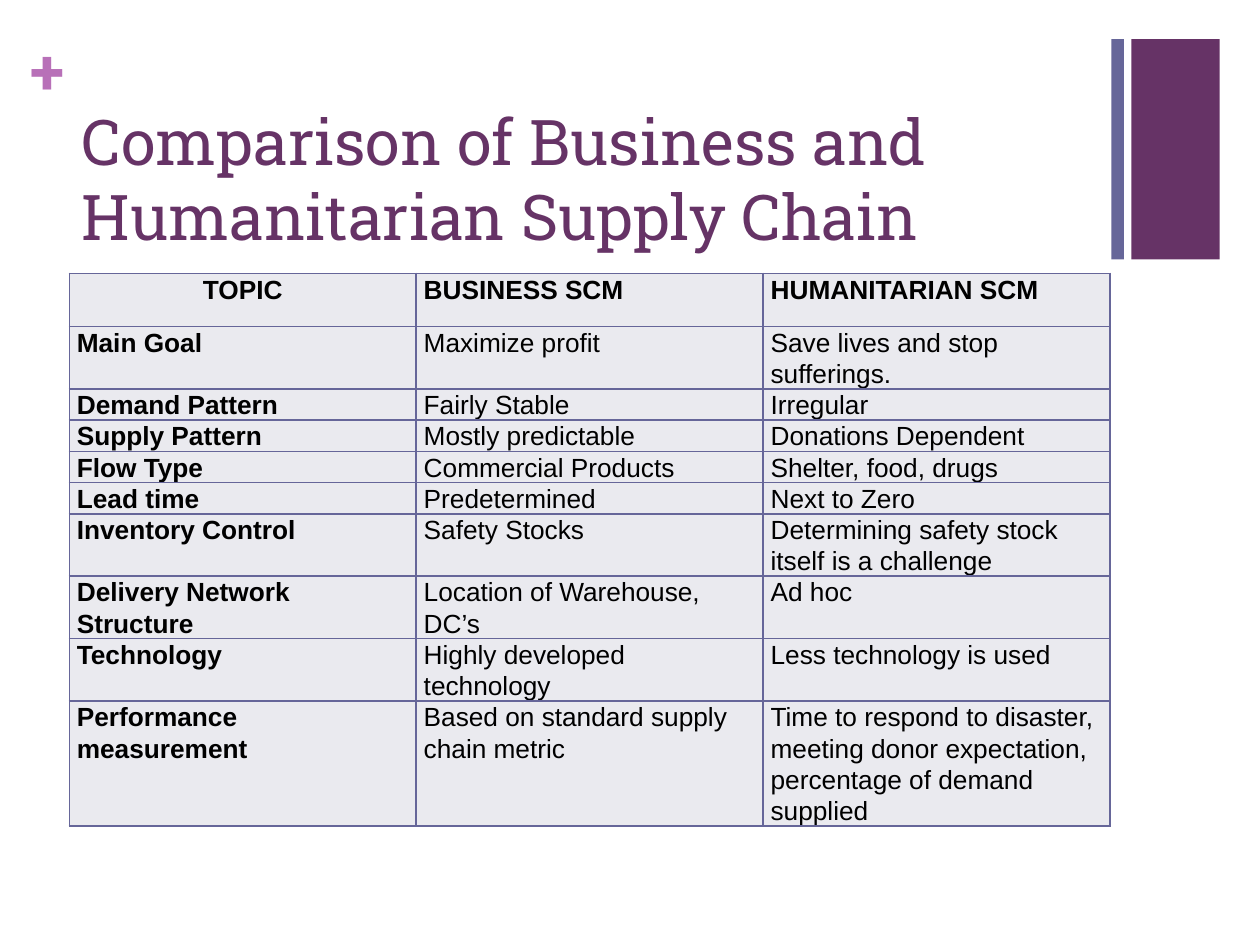
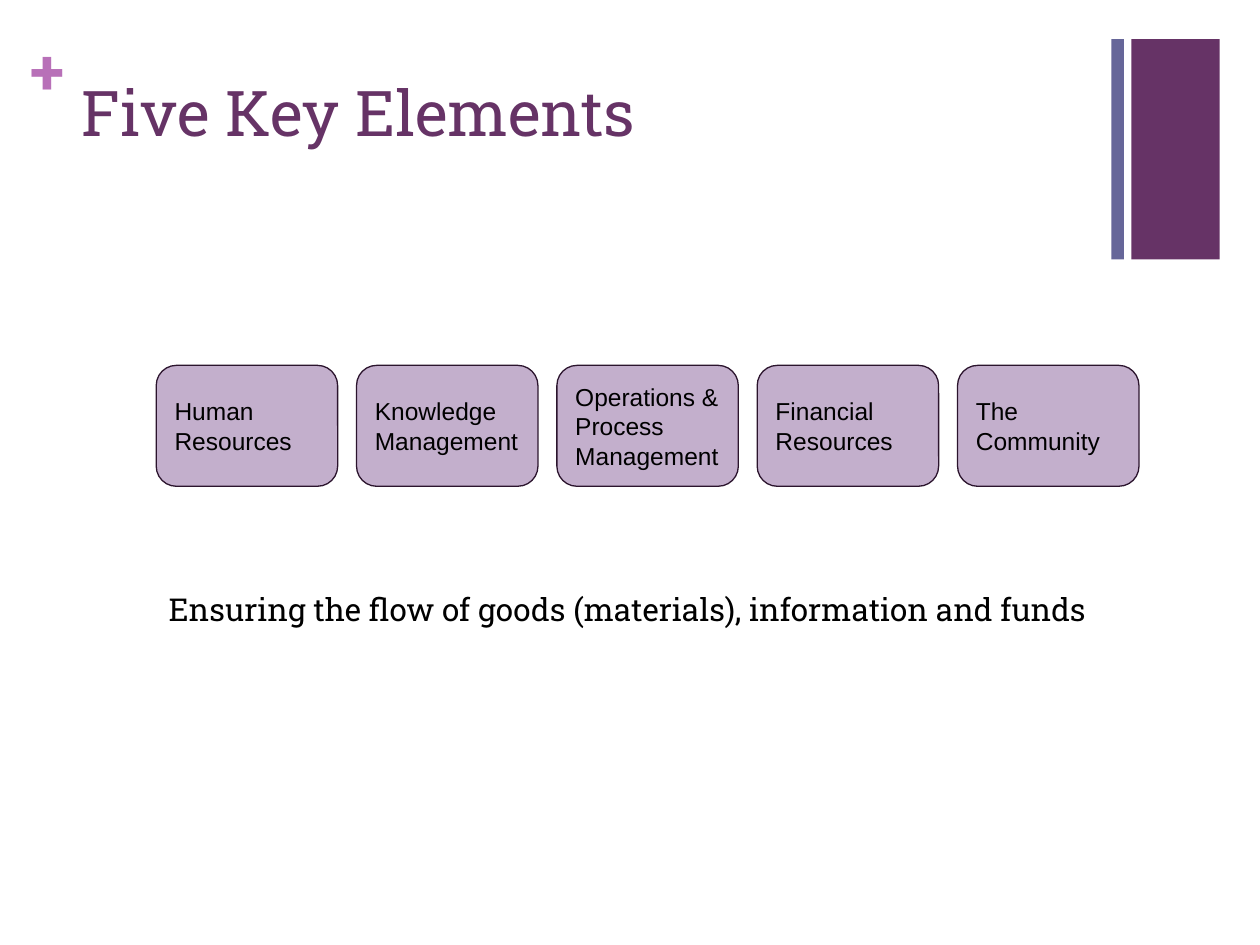
"""Build two slides on humanitarian supply chains."""
from dataclasses import dataclass

from lxml import etree
from pptx import Presentation
from pptx.dml.color import RGBColor
from pptx.enum import shapes, text
from pptx.oxml import ns
from pptx.util import Inches, Pt

PLUM = RGBColor(0x66, 0x33, 0x66)
SLATE = RGBColor(0x66, 0x66, 0x99)
ORCHID = RGBColor(0xB8, 0x70, 0xB8)
LILAC = RGBColor(0xC3, 0xAF, 0xCC)
OUTLINE = RGBColor(0x2B, 0x14, 0x2D)
CELL_GREY = RGBColor(0xEA, 0xEA, 0xEF)
BLACK = RGBColor(0, 0, 0)
SERIF = "Roboto Slab"
SANS = "Arial"
TITLE_ONLY = 5


@dataclass(frozen=True)
class Area:
    """A rectangle on the slide, in inches."""
    left: float
    top: float
    width: float
    height: float

    def lengths(self):
        """Return the four measures as lengths."""
        return tuple(map(Inches, (self.left, self.top, self.width, self.height)))


@dataclass(frozen=True)
class TextStyle:
    """The look of a paragraph."""
    font: str
    size: float
    color: RGBColor
    bold: bool = False
    align: text.PP_ALIGN = text.PP_ALIGN.LEFT


@dataclass(frozen=True)
class Band:
    """A plain coloured bar in the corner."""
    area: Area
    color: RGBColor


BANDS = (
    Band(Area(8.98, 0.31, 0.7, 1.75), PLUM),
    Band(Area(8.82, 0.31, 0.1, 1.75), SLATE),
)
TITLE = TextStyle(SERIF, 36, PLUM)
PLUS = TextStyle(SERIF, 36, ORCHID, bold=True)
CAPTION = TextStyle(SERIF, 18, BLACK)
ELEMENT = TextStyle(SANS, 14, BLACK)
CELL = TextStyle(SANS, 15, BLACK)
CELL_BOLD = TextStyle(SANS, 15, BLACK, bold=True)
CELL_CENTRED = TextStyle(SANS, 15, BLACK, bold=True, align=text.PP_ALIGN.CENTER)

COMPARISON = (
    ("TOPIC", "BUSINESS SCM", "HUMANITARIAN SCM"),
    ("Main Goal", "Maximize profit", "Save lives and stop sufferings."),
    ("Demand Pattern", "Fairly Stable", "Irregular"),
    ("Supply Pattern", "Mostly predictable", "Donations Dependent"),
    ("Flow Type", "Commercial Products", "Shelter, food, drugs"),
    ("Lead time", "Predetermined", "Next to Zero"),
    ("Inventory Control", "Safety Stocks",
     "Determining safety stock itself is a challenge"),
    ("Delivery Network Structure", "Location of Warehouse, DC’s", "Ad hoc"),
    ("Technology", "Highly developed technology", "Less technology is used"),
    ("Performance measurement", "Based on standard supply chain metric",
     "Time to respond to disaster, meeting donor expectation, "
     "percentage of demand supplied"),
)
KEY_ELEMENTS = (
    "Human Resources",
    "Knowledge Management",
    "Operations & Process Management",
    "Financial Resources",
    "The Community",
)


def write(frame, words: str, style: TextStyle, inset_x: float, inset_y: float,
          anchor=text.MSO_ANCHOR.TOP) -> None:
    """Fill a text frame with one styled paragraph."""
    frame.word_wrap = True
    frame.auto_size = text.MSO_AUTO_SIZE.NONE
    frame.vertical_anchor = anchor
    frame.margin_left = frame.margin_right = Inches(inset_x)
    frame.margin_top = frame.margin_bottom = Inches(inset_y)
    frame.text = words
    style_paragraph(frame.paragraphs[0], style)


def style_paragraph(para, style: TextStyle) -> None:
    """Apply a text style to a paragraph."""
    para.alignment = style.align
    para.font.name = style.font
    para.font.size = Pt(style.size)
    para.font.bold = style.bold
    para.font.color.rgb = style.color


def add_text(page, area: Area, words: str, style: TextStyle, inset: float) -> None:
    """Add a wrapped text box."""
    box = page.shapes.add_textbox(*area.lengths())
    write(box.text_frame, words, style, inset, inset)


def add_filled(page, kind, area: Area, color: RGBColor):
    """Add a flat preset shape without an outline."""
    shape = page.shapes.add_shape(kind, *area.lengths())
    shape.shadow.inherit = False
    shape.fill.solid()
    shape.fill.fore_color.rgb = color
    shape.line.fill.background()
    return shape


def add_page(deck, title: str, title_top: float):
    """Add a slide with its title, corner bands and plus sign."""
    page = deck.slides.add_slide(deck.slide_layouts[TITLE_ONLY])
    heading = page.shapes.title
    area = Area(0.55, title_top, 8.26, 1.22)
    heading.left, heading.top, heading.width, heading.height = area.lengths()
    write(heading.text_frame, title, TITLE, 0.1, 0.05)
    for band in BANDS:
        add_filled(page, shapes.MSO_SHAPE.RECTANGLE, band.area, band.color)
    add_text(page, Area(0.24, 0.25, 0.28, 0.61), "+", PLUS, 0)
    return page


def add_borders(cell, color: RGBColor, width: float) -> None:
    """Draw a solid line on all four sides of a cell."""
    properties = cell._tc.get_or_add_tcPr()
    for side in ("a:lnL", "a:lnR", "a:lnT", "a:lnB"):
        line = etree.SubElement(properties, ns.qn(side), w=str(Pt(width)))
        fill = etree.SubElement(line, ns.qn("a:solidFill"))
        etree.SubElement(fill, ns.qn("a:srgbClr"), val=str(color))


def fill_cell(cell, words: str, style: TextStyle) -> None:
    """Write and format one table cell."""
    add_borders(cell, SLATE, 1)
    cell.fill.solid()
    cell.fill.fore_color.rgb = CELL_GREY
    cell.margin_left = cell.margin_right = Inches(0.06)
    cell.margin_top = cell.margin_bottom = 0
    cell.text = words
    para = cell.text_frame.paragraphs[0]
    style_paragraph(para, style)
    para.line_spacing = 1.07


def cell_style(row: int, column: int) -> TextStyle:
    """Choose the style for a cell by its place."""
    if row == column == 0:
        return CELL_CENTRED
    return CELL_BOLD if row == 0 or column == 0 else CELL


def add_comparison(deck) -> None:
    """Add the slide with the comparison table."""
    page = add_page(deck, "Comparison of Business and Humanitarian Supply Chain", 0.76)
    area = Area(0.55, 2.17, 8.26, 2.31)
    frame = page.shapes.add_table(len(COMPARISON), len(COMPARISON[0]), *area.lengths())
    table = frame.table
    table.first_row = table.horz_banding = False
    for row, entries in enumerate(COMPARISON):
        table.rows[row].height = Inches(0.21 if row else 0.42)
        for column, words in enumerate(entries):
            fill_cell(table.cell(row, column), words, cell_style(row, column))


def add_key_elements(deck) -> None:
    """Add the slide with the row of key elements."""
    page = add_page(deck, "Five Key Elements", 0.53)
    for index, words in enumerate(KEY_ELEMENTS):
        area = Area(1.24 + 1.59 * index, 2.9, 1.44, 0.96)
        box = add_filled(page, shapes.MSO_SHAPE.ROUNDED_RECTANGLE, area, LILAC)
        box.line.color.rgb = OUTLINE
        box.line.width = Pt(0.75)
        write(box.text_frame, words, ELEMENT, 0.1, 0.1, text.MSO_ANCHOR.MIDDLE)
    add_text(page, Area(1.24, 4.58, 7.72, 0.72),
             "Ensuring the flow of goods (materials), information and funds",
             CAPTION, 0.1)


def main() -> None:
    """Build and save the deck."""
    deck = Presentation()
    deck.slide_width, deck.slide_height = Inches(10), Inches(7.5)
    add_comparison(deck)
    add_key_elements(deck)
    deck.save("out.pptx")


if __name__ == "__main__":
    main()
